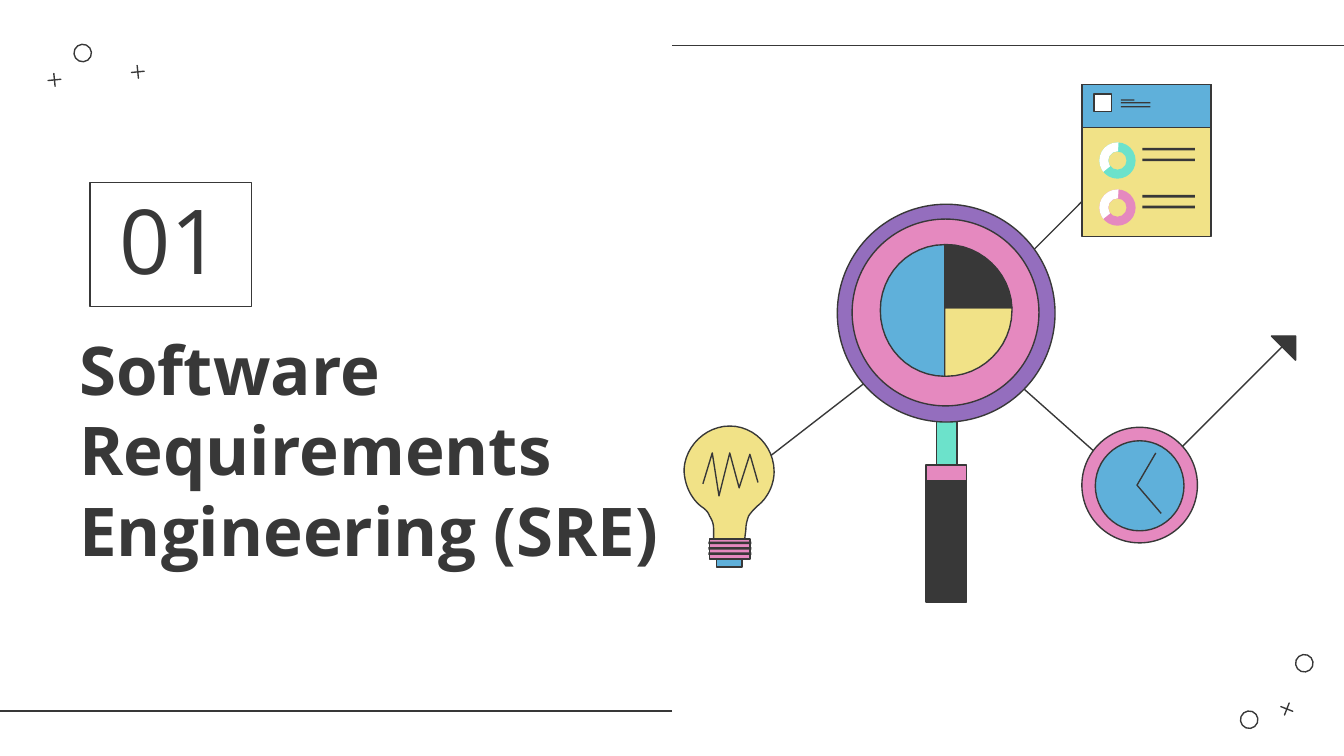
from lxml import etree
from pptx import Presentation
from pptx.dml.color import RGBColor
from pptx.enum.shapes import MSO_CONNECTOR, MSO_SHAPE
from pptx.enum.text import MSO_ANCHOR, MSO_AUTO_SIZE, PP_ALIGN
from pptx.oxml.ns import qn
from pptx.util import Cm, Pt

OVAL, RECT, PLUS = MSO_SHAPE.OVAL, MSO_SHAPE.RECTANGLE, MSO_SHAPE.MATH_PLUS
DONUT, ARC = MSO_SHAPE.DONUT, MSO_SHAPE.BLOCK_ARC
LEFT, CENTER = PP_ALIGN.LEFT, PP_ALIGN.CENTER

THEME = {
    "ink": "383838", "paper": "FFFFFF", "blue": "5FB0DA", "yellow": "F1E287",
    "pink": "E589BF", "purple": "946EBE", "mint": "6CE2CB",
    "font": "Open Sans", "title": 36, "number": 48, "line": 0.75,
}

# Content; all positions are in inches
TITLE = "Software Requirements Engineering (SRE)"
NUMBER = "01"
RULES = [(10, 0.34, 5, 0.34), (5, 5.29, 0, 5.29)]
ORNAMENT = 0.13
ORNAMENTS = [  # shape, left, top, rotation
    (OVAL, 0.55, 0.33, 84.5), (PLUS, 0.34, 0.53, 84.5), (PLUS, 0.96, 0.47, 84.5),
    (OVAL, 9.23, 5.29, 291.4), (PLUS, 9.51, 5.21, 291.4), (OVAL, 9.64, 4.87, 291.4),
]
LINKS = [(7.45, 2.1, 8.22, 1.33), (8.49, 3.63, 9.55, 2.57),
         (5.4, 3.65, 7.04, 2.38), (7.04, 2.38, 8.48, 3.66)]
MAGNIFIER = [  # shape, left, top, width, height, fill
    (RECT, 6.97, 3.04, 0.15, 1.29, "mint"),
    (RECT, 6.89, 3.58, 0.3, 0.9, "ink"),
    (RECT, 6.89, 3.46, 0.3, 0.12, "pink"),
    (OVAL, 6.23, 1.52, 1.62, 1.62, "purple"),
    (OVAL, 6.34, 1.63, 1.39, 1.39, "pink"),
]
# Outlines: a pair is a corner, six numbers are a Bezier curve
ARROW_TIP = [(9.64, 2.5), (9.46, 2.5), (9.64, 2.68)]
PIE = [
    ("blue", [(7.03, 1.82), (6.76, 1.82, 6.55, 2.04, 6.55, 2.31),
              (6.55, 2.58, 6.76, 2.8, 7.03, 2.8)]),
    ("yellow", [(7.03, 2.29), (7.03, 2.8), (7.04, 2.8),
                (7.31, 2.8, 7.53, 2.58, 7.53, 2.31), (7.53, 2.29)]),
    ("ink", [(7.03, 1.82), (7.03, 2.29), (7.53, 2.29),
             (7.52, 2.03, 7.3, 1.82, 7.04, 1.82)]),
]
BULB = [
    (5.43, 3.17), (5.25, 3.17, 5.1, 3.32, 5.09, 3.49),
    (5.09, 3.6, 5.14, 3.71, 5.22, 3.77), (5.25, 3.79, 5.27, 3.81, 5.28, 3.84),
    (5.3, 3.87, 5.31, 3.9, 5.31, 3.94), (5.31, 4.02), (5.54, 4.02), (5.55, 3.94),
    (5.55, 3.9, 5.56, 3.87, 5.57, 3.84), (5.59, 3.81, 5.61, 3.79, 5.63, 3.77),
    (5.71, 3.71, 5.76, 3.61, 5.76, 3.51), (5.76, 3.32, 5.61, 3.17, 5.43, 3.17),
]
FILAMENT = [(5.23, 3.6), (5.3, 3.37), (5.35, 3.69), (5.43, 3.37),
            (5.5, 3.63), (5.58, 3.38), (5.64, 3.59)]
BULB_BASE = [(RECT, 5.33, 4.15, 0.19, 0.07, "blue"), (RECT, 5.28, 4.01, 0.3, 0.15, "pink")]
BULB_THREADS = [(5.27, 4.03 + 0.04 * i, 0.32, 0.02) for i in range(3)]
CLOCK = [(OVAL, 8.05, 3.18, 0.86, 0.86, "pink"), (OVAL, 8.15, 3.28, 0.66, 0.67, "blue")]
CLOCK_HANDS = [(8.6, 3.37), (8.46, 3.61), (8.64, 3.82)]
CARD = [(RECT, 8.05, 0.63, 0.96, 1.13, "yellow"), (RECT, 8.05, 0.63, 0.96, 0.32, "blue"),
        (RECT, 8.14, 0.7, 0.13, 0.13, "paper")]
CARD_HEADING = [(8.34, 0.74, 0.1, 0.01), (8.34, 0.76, 0.22, 0.01), (8.34, 0.79, 0.22, 0.01)]
CARD_ROWS = [(1.06, "mint"), (1.41, "pink")]


def length(inches):
    return Cm(inches * 2.54)


def color(name):
    return RGBColor.from_string(THEME[name])


def style(shape, fill=None, outlined=True):
    shape.shadow.inherit = False
    if fill:
        shape.fill.solid()
        shape.fill.fore_color.rgb = color(fill)
    else:
        shape.fill.background()
    if outlined:
        shape.line.color.rgb = color("ink")
        shape.line.width = Pt(THEME["line"])
    else:
        shape.line.fill.background()


def add_preset(kind, left, top, width, height, fill=None, outlined=True, adjust=()):
    shape = shapes.add_shape(kind, *map(length, (left, top, width, height)))
    for index, value in enumerate(adjust):
        shape.adjustments[index] = value
    style(shape, fill, outlined)
    return shape


def add_line(*ends):
    line = shapes.add_connector(MSO_CONNECTOR.STRAIGHT, *map(length, ends))
    line.line.color.rgb = color("ink")
    line.line.width = Pt(THEME["line"])
    etree.SubElement(line._element.spPr, qn("a:effectLst"))


def flatten(steps, pieces=12):
    points = []
    for step in steps:
        if len(step) == 2:
            points.append(step)
            continue
        corners = [points[-1], step[:2], step[2:4], step[4:]]
        for i in range(1, pieces + 1):
            t = i / pieces
            weights = ((1 - t) ** 3, 3 * t * (1 - t) ** 2, 3 * t * t * (1 - t), t ** 3)
            points.append(tuple(sum(w * corner[axis] for w, corner in zip(weights, corners))
                                for axis in (0, 1)))
    return points


def add_outline(steps, fill=None):
    points = [(length(x), length(y)) for x, y in flatten(steps)]
    builder = shapes.build_freeform(*points[0])
    builder.add_line_segments(points[1:], close=fill is not None)
    style(builder.convert_to_shape(), fill)


def set_text(box, text, area, size, align, bold=False):
    box.left, box.top, box.width, box.height = map(length, area)
    frame = box.text_frame
    frame.text = text
    frame.word_wrap = True
    frame.auto_size = MSO_AUTO_SIZE.NONE
    frame.vertical_anchor = MSO_ANCHOR.BOTTOM
    frame.margin_left = frame.margin_right = length(0.1)
    frame.margin_top = frame.margin_bottom = length(0.1)
    para = frame.paragraphs[0]
    para.alignment = align
    para.line_spacing = 1.0
    para.space_before = Pt(0)
    font = para.runs[0].font
    font.name, font.size, font.bold = THEME["font"], Pt(size), bold
    font.color.rgb = color("ink")


deck = Presentation()
deck.slide_width, deck.slide_height = Cm(25.4), Cm(14.2875)  # 16:9
page = deck.slides.add_slide(deck.slide_layouts[0])
shapes = page.shapes

# Title and section number
set_text(shapes.title, TITLE, (0.49, 1.94, 4.59, 2.4), THEME["title"], LEFT, True)
number_box = page.placeholders[1]
set_text(number_box, NUMBER, (0.67, 1.36, 1.2, 0.92), THEME["number"], CENTER)
number_box.line.color.rgb = color("ink")
number_box.line.width = Pt(THEME["line"])

# Rules, corner ornaments and links
for ends in RULES + LINKS:
    add_line(*ends)
for kind, left, top, rotation in ORNAMENTS:
    ornament = add_preset(kind, left, top, ORNAMENT, ORNAMENT,
                          adjust=(0,) if kind == PLUS else ())
    ornament.rotation = rotation

# Magnifier with pie, and arrow tip
for part in MAGNIFIER:
    add_preset(*part)
for fill, steps in PIE:
    add_outline(steps, fill)
add_outline(ARROW_TIP, "ink")

# Light bulb
add_outline(BULB, "yellow")
for part in BULB_BASE:
    add_preset(*part)
for thread in BULB_THREADS:
    add_preset(RECT, *thread, "ink", False)
add_outline(FILAMENT)

# Clock
for part in CLOCK:
    add_preset(*part)
add_outline(CLOCK_HANDS)

# Report card
for part in CARD:
    add_preset(*part)
for bar in CARD_HEADING:
    add_preset(RECT, *bar, "ink", False)
for top, fill in CARD_ROWS:
    add_preset(DONUT, 8.18, top, 0.27, 0.27, fill, False, (0.25,))
    add_preset(ARC, 8.18, top, 0.27, 0.27, "paper", False, (84.95, 163.995, 0.245))
    for offset in (0.04, 0.12):
        add_preset(RECT, 8.5, top + offset, 0.39, 0.02, "ink", False)

deck.save("out.pptx")
